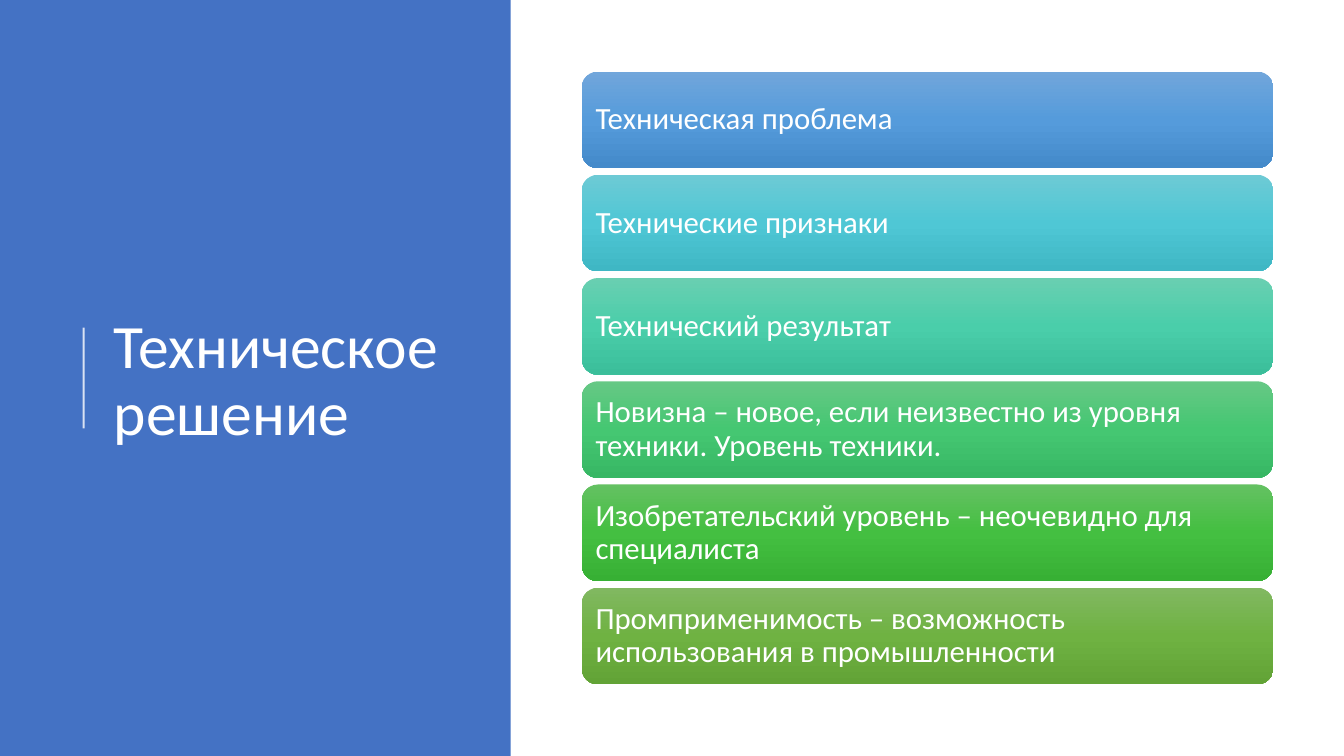
from copy import deepcopy
from dataclasses import dataclass

from lxml.etree import SubElement
from pptx import Presentation
from pptx.dml.color import RGBColor
from pptx.enum.shapes import MSO_CONNECTOR, MSO_SHAPE
from pptx.enum.text import MSO_ANCHOR, PP_ALIGN
from pptx.oxml.ns import qn
from pptx.util import Inches, Pt


@dataclass(frozen=True)
class Theme:
    font: str = "Calibri"
    panel: str = "4472C4"
    text: str = "FFFFFF"
    title_size: int = 44
    card_size: int = 22
    line_spacing: float = 0.9


@dataclass(frozen=True)
class Box:
    left: float
    top: float
    width: float
    height: float

    def inches(self):
        return [Inches(value) for value in (self.left, self.top, self.width, self.height)]


THEME = Theme()
WIDTH, HEIGHT = 13.33, 7.5
TITLE = "Техническое решение"
CARDS = [
    ("Техническая проблема", ("71A6DB", "559BDB", "448ACA")),
    ("Технические признаки", ("6DCAD5", "4FC7D5", "3FB7C4")),
    ("Технический результат", ("69CFB1", "4ACEAA", "3BBE9A")),
    ("Новизна – новое, если неизвестно из уровня техники. Уровень техники.",
     ("66C885", "45C772", "37B764")),
    ("Изобретательский уровень – неочевидно для специалиста",
     ("64C162", "44BF41", "37B034")),
    ("Промприменимость – возможность использования в промышленности",
     ("81B861", "6FB242", "62A336")),
]


def write_text(shape, text, size, margin):
    frame = shape.text_frame
    frame.text = text
    frame.word_wrap = True
    frame.vertical_anchor = MSO_ANCHOR.MIDDLE
    frame.margin_left = frame.margin_right = Inches(margin)
    frame.margin_top = frame.margin_bottom = Inches(margin)
    paragraph = frame.paragraphs[0]
    paragraph.alignment = PP_ALIGN.LEFT
    paragraph.line_spacing = THEME.line_spacing
    font = paragraph.runs[0].font
    font.name = THEME.font
    font.size = Pt(size)
    font.color.rgb = RGBColor.from_string(THEME.text)


def fill_gradient(shape, colors):
    shape.fill.gradient()
    shape.fill.gradient_angle = 270
    stop_list = shape._element.spPr.find(".//" + qn("a:gsLst"))
    stop_list.append(deepcopy(stop_list[0]))
    for index, (stop, color) in enumerate(zip(shape.fill.gradient_stops, colors)):
        stop.position = index / (len(colors) - 1)
        stop.color.rgb = RGBColor.from_string(color)


def add_accent_line(slide, left, top, height):
    line = slide.shapes.add_connector(
        MSO_CONNECTOR.STRAIGHT, Inches(left), Inches(top + height), Inches(left), Inches(top))
    line.line.width = Pt(1.5)
    line.line.color.rgb = RGBColor.from_string(THEME.text)
    properties = line._element.spPr
    SubElement(properties.find(".//" + qn("a:srgbClr")), qn("a:alpha"), val="80000")
    SubElement(properties, qn("a:effectLst"))


def add_title_panel(slide, box):
    panel = slide.shapes.add_shape(MSO_SHAPE.RECTANGLE, *box.inches())
    panel.shadow.inherit = False
    panel.fill.solid()
    panel.fill.fore_color.rgb = RGBColor.from_string(THEME.panel)
    panel.line.fill.background()

    add_accent_line(slide, box.left + 0.83, box.top + (box.height - 1) / 2, 1)

    title_box = Box(box.left + 1.03, box.top + 0.78, box.width - 1.38, box.height - 1.48)
    title = slide.shapes.add_textbox(*title_box.inches())
    write_text(title, TITLE, THEME.title_size, 0.1)


def add_card_list(slide, box, gap=0.065):
    height = (box.height - gap * (len(CARDS) - 1)) / len(CARDS)
    for row, (text, colors) in enumerate(CARDS):
        card_box = Box(box.left, box.top + row * (height + gap), box.width, height)
        card = slide.shapes.add_shape(MSO_SHAPE.ROUNDED_RECTANGLE, *card_box.inches())
        card.shadow.inherit = False
        card.line.fill.background()
        fill_gradient(card, colors)
        write_text(card, text, THEME.card_size, 0.09)


def main():
    presentation = Presentation()
    presentation.slide_width = Inches(WIDTH)
    presentation.slide_height = Inches(HEIGHT)
    slide = presentation.slides.add_slide(presentation.slide_layouts[6])
    add_title_panel(slide, Box(0, 0, WIDTH * 0.38, HEIGHT))
    add_card_list(slide, Box(5.77, 0.71, 6.86, 6.08))
    presentation.save("out.pptx")


if __name__ == "__main__":
    main()
